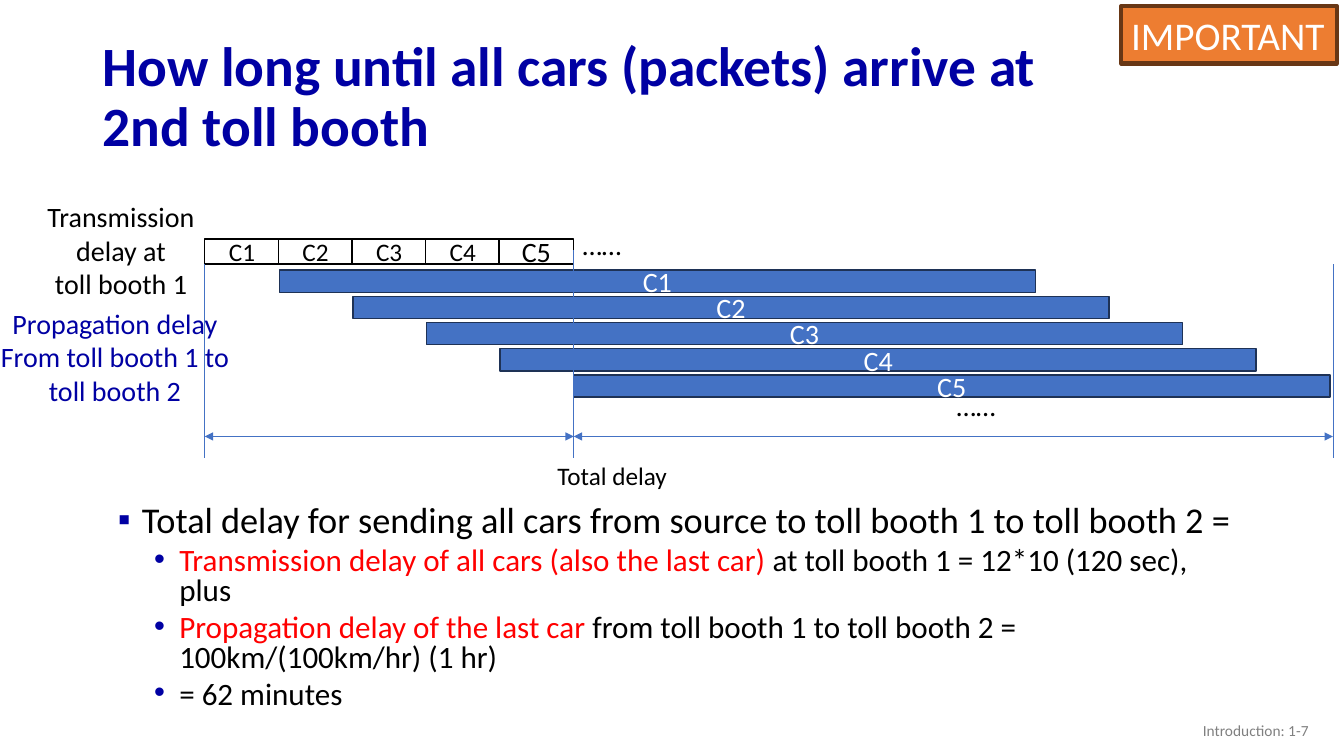
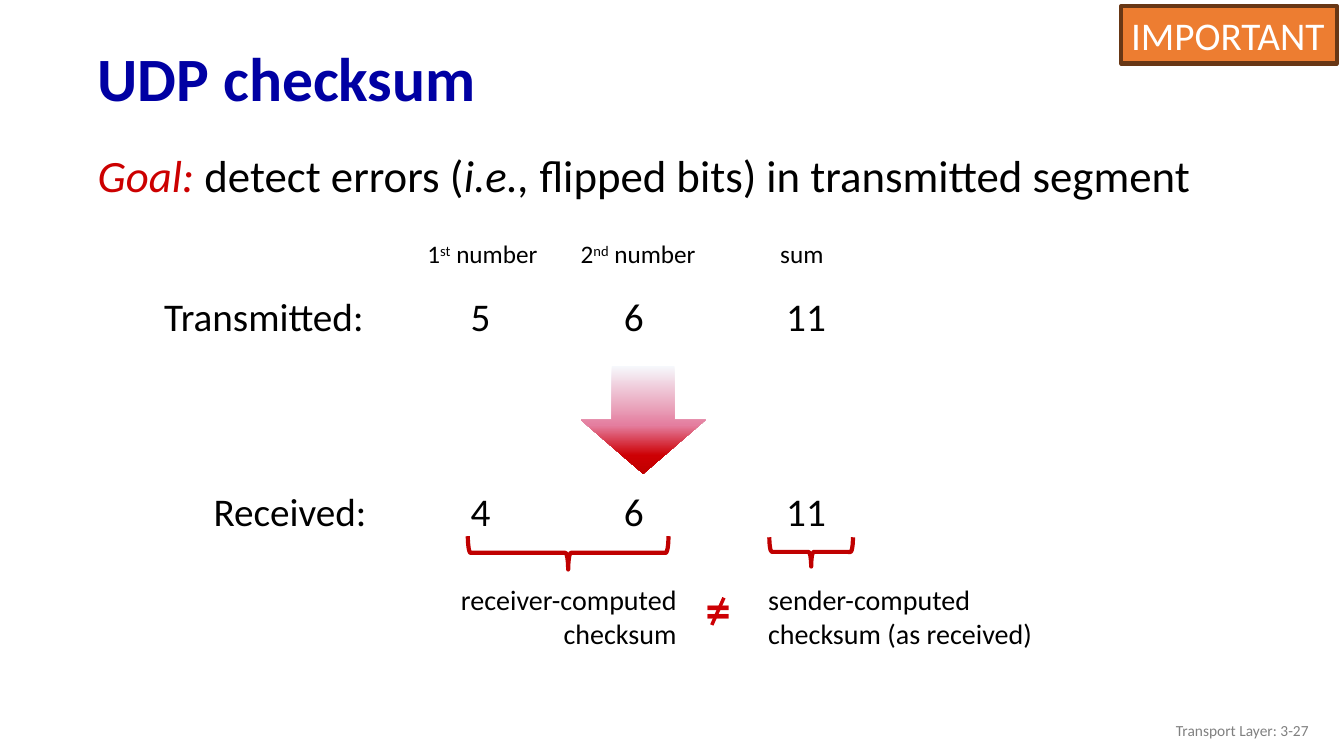
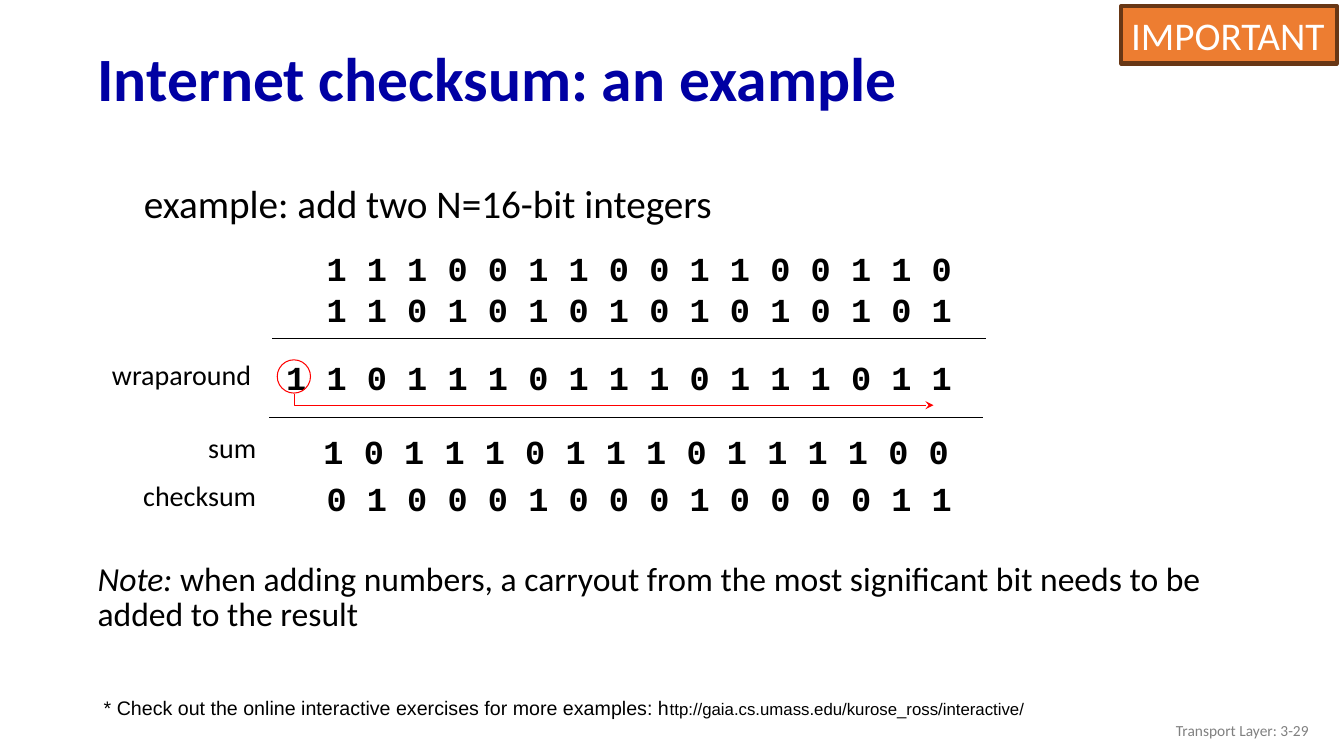
from copy import deepcopy

from lxml.etree import SubElement
from pptx import Presentation
from pptx.dml.color import RGBColor
from pptx.enum.shapes import MSO_CONNECTOR, MSO_SHAPE
from pptx.enum.text import MSO_ANCHOR, PP_ALIGN
from pptx.oxml.ns import qn
from pptx.util import Inches, Pt

COLORS = {
    "black": "000000", "white": "FFFFFF", "title": "0000A3", "gray": "808080",
    "orange": "ED7D31", "brown": "683715", "blue": "4472C4", "navy": "1E3256",
    "red": "FF0000", "crimson": "CC0000", "brace": "C00000", "unequal": "CD0004",
}
LEFT, CENTER, RIGHT = PP_ALIGN.LEFT, PP_ALIGN.CENTER, PP_ALIGN.RIGHT
TOP, MIDDLE = MSO_ANCHOR.TOP, MSO_ANCHOR.MIDDLE


def style_line(shape, color, width, head=None, tail=None):
    """Give an outline or line its colour, width and arrowheads, without shadow."""
    shape.line.color.rgb = RGBColor.from_string(COLORS[color])
    shape.line.width = Pt(width)
    properties = shape._element.spPr
    outline = properties.find(qn("a:ln"))
    for tag, arrow in (("a:headEnd", head), ("a:tailEnd", tail)):
        if arrow:
            SubElement(outline, qn(tag), type=arrow)
    if properties.find(qn("a:effectLst")) is None:
        SubElement(properties, qn("a:effectLst"))


def add_text(page, at, *paragraphs, size=20, font="Calibri", color="black", bold=False,
             align=LEFT, anchor=TOP, spacing=None, wrap=True, fill=None, line=None):
    """Add a box of text; a paragraph is a string or a list of (text, format) spans."""
    place = [Inches(length) for length in at]
    if fill:
        box = page.shapes.add_shape(MSO_SHAPE.RECTANGLE, *place)
        box.fill.solid()
        box.fill.fore_color.rgb = RGBColor.from_string(COLORS[fill])
        style_line(box, *line)
    else:
        box = page.shapes.add_textbox(*place)
    frame = box.text_frame
    frame.word_wrap = wrap
    frame.vertical_anchor = anchor
    for index, spans in enumerate(paragraphs):
        paragraph = frame.add_paragraph() if index else frame.paragraphs[0]
        paragraph.alignment = align
        paragraph.line_spacing = spacing
        for text, style in [(spans, {})] if isinstance(spans, str) else spans:
            span = paragraph.add_run()
            span.text = text
            span.font.name = font
            span.font.size = Pt(style.get("size", size))
            span.font.bold = bold
            span.font.italic = style.get("italic", False)
            span.font.color.rgb = RGBColor.from_string(COLORS[style.get("color", color)])
            if "baseline" in style:
                span._r.get_or_add_rPr().set("baseline", style["baseline"])
    return box


deck = Presentation()
deck.slide_width, deck.slide_height = Inches(13.33), Inches(7.5)

# Title, footer and badge of every slide
pages = []
for title, title_at, title_size, footer in (
    ("How long until all cars (packets) arrive at 2nd toll booth",
     (0.92, 0.49, 10.23, 0.98), 39.6, "Introduction: 1-7"),
    ("UDP checksum", (0.87, 0.32, 12.14, 0.98), 44, "Transport Layer: 3-27"),
    ("Internet checksum: an example", (0.87, 0.32, 12.14, 0.98), 44, "Transport Layer: 3-29"),
):
    page = deck.slides.add_slide(deck.slide_layouts[6])
    add_text(page, title_at, title, size=title_size, color="title", bold=True,
             anchor=MIDDLE, spacing=0.9)
    add_text(page, (10.08, 7.05, 3, 0.4), footer, size=11, color="gray",
             align=RIGHT, anchor=MIDDLE)
    add_text(page, (11.12, 0.06, 2.14, 0.57), "IMPORTANT", size=28, color="white",
             wrap=False, fill="orange", line=("brown", 3))
    pages.append(page)
delay_page, goal_page, example_page = pages

# Slide 1: timeline of the cars
START, SERVED, END = 2.03, 5.69, 13.22
CAR_STEP = 0.73
for car in range(5):
    name = f"C{car + 1}"
    left = START + CAR_STEP * car
    add_text(delay_page, (left, 2.37, 0.74, 0.25), name, size=20 if car == 4 else 18,
             align=CENTER, anchor=MIDDLE, fill="white", line=("black", 1))
    add_text(delay_page, (left + 0.74, 2.68 + 0.26 * car, 7.5, 0.22), name, color="white",
             align=CENTER, anchor=MIDDLE, fill="blue", line=("navy", 1))

add_text(delay_page, (0.29, 1.93, 1.82, 1.11), "Transmission", "delay at", "toll booth 1",
         align=CENTER)
add_text(delay_page, (-0.3, 2.99, 2.88, 1.11), "Propagation delay",
         "From toll booth 1 to toll booth 2", color="title", align=CENTER)
for left, top in ((5.68, 2.21), (9.39, 3.81)):
    add_text(delay_page, (left, top, 0.61, 0.44), "……", wrap=False)
add_text(delay_page, (5.43, 4.52, 1.3, 0.4), "Total delay", size=18, wrap=False)

for x1, y1, x2, y2, arrow in (
    (START, 2.62, START, 4.54, None),
    (SERVED, 2.48, SERVED, 4.54, None),
    (END, 2.62, END, 4.54, None),
    (START, 4.33, SERVED, 4.33, "triangle"),
    (SERVED, 4.33, END, 4.33, "triangle"),
):
    measure = delay_page.shapes.add_connector(
        MSO_CONNECTOR.STRAIGHT, Inches(x1), Inches(y1), Inches(x2), Inches(y2))
    style_line(measure, "blue", 0.5, head=arrow, tail=arrow)

sub = {"size": 22.2}
sub_red = {"size": 22.2, "color": "red"}
summary = add_text(
    delay_page, (0.92, 4.97, 11.5, 2.02),
    "Total delay for sending all cars from source to toll booth 1 to toll booth 2 =",
    [("Transmission delay of all cars (also the last car) ", sub_red),
     ("at toll booth 1 = 12*10 (120 sec), plus", sub)],
    [("Propagation delay of the last car ", sub_red),
     ("from toll booth 1 to toll booth 2 = 100km/(100km/hr) (1 hr)", sub)],
    [("= 62 minutes", sub)],
    size=25.9, spacing=0.8)
for index, paragraph in enumerate(summary.text_frame.paragraphs):
    margin, hanging, bullet = (0.76, -0.25, "•") if index else (0.39, -0.24, "▪")
    if index:
        paragraph.space_before = Pt(5)
    properties = paragraph._p.get_or_add_pPr()
    properties.set("marL", str(Inches(margin)))
    properties.set("indent", str(Inches(hanging)))
    SubElement(SubElement(properties, qn("a:buClr")), qn("a:srgbClr"), val=COLORS["title"])
    SubElement(properties, qn("a:buFont"), typeface="Arial")
    SubElement(properties, qn("a:buChar"), char=bullet)

# Slide 2: transmitted and received numbers
add_text(goal_page, (0.87, 1.5, 12.14, 0.93),
         [("Goal:", {"color": "crimson", "italic": True}), (" detect errors (", {}),
          ("i.e., ", {"italic": True}), ("flipped bits) in transmitted segment", {})],
         size=32, spacing=0.85)
raised = {"baseline": "30000"}
for left, width, heading in (
    (4.14, 1.32, [("1", {}), ("st", raised), (" number", {})]),
    (5.66, 1.38, [("2", {}), ("nd", raised), (" number", {})]),
    (7.64, 0.64, "sum"),
):
    add_text(goal_page, (left, 2.32, width, 0.4), heading, size=18, wrap=False)

NUMBER_COLUMNS = (4.67, 6.19, 7.8)
INSET = 0.1
for left, top, row in ((1.53, 2.9, "Transmitted:\t5\t6\t11"),
                       (2.02, 4.84, "Received:\t4\t6\t11")):
    numbers = add_text(goal_page, (left, top, 11, 0.63), row, size=28, spacing=0.9)
    tabs = SubElement(numbers.text_frame.paragraphs[0]._p.get_or_add_pPr(), qn("a:tabLst"))
    for column in NUMBER_COLUMNS:
        SubElement(tabs, qn("a:tab"), pos=str(Inches(column - left - INSET)), algn="l")

arrow = goal_page.shapes.add_shape(
    MSO_SHAPE.DOWN_ARROW, Inches(5.76), Inches(3.63), Inches(1.24), Inches(1.07))
arrow.shadow.inherit = False
arrow.line.fill.background()
arrow.fill.gradient()
arrow.fill.gradient_angle = 270
stop_list = arrow._element.spPr.find(qn("a:gradFill")).find(qn("a:gsLst"))
for _ in range(2):
    stop_list.append(deepcopy(stop_list[0]))
fade = ((0, "F6F8FC"), (0.55, "E47E9F"), (0.83, "CD0004"), (1, "C00000"))
for stop, (position, color) in zip(arrow.fill.gradient_stops, fade):
    stop.position = position
    stop.color.rgb = RGBColor.from_string(color)

for left, top, width, height in ((5.47, 4.49, 0.33, 1.99), (7.9, 5.06, 0.29, 0.83)):
    brace = goal_page.shapes.add_shape(
        MSO_SHAPE.RIGHT_BRACE, Inches(left), Inches(top), Inches(width), Inches(height))
    brace.rotation = 90
    brace.fill.background()
    style_line(brace, "brace", 3)
add_text(goal_page, (4.38, 5.73, 2.43, 0.77), "receiver-computed", "checksum",
         align=RIGHT, wrap=False)
add_text(goal_page, (7.52, 5.73, 2.85, 0.77), "sender-computed", "checksum (as received)",
         wrap=False)
add_text(goal_page, (6.9, 5.69, 0.45, 0.71), "=", size=36, color="unequal", bold=True,
         wrap=False)
slash = goal_page.shapes.add_connector(
    MSO_CONNECTOR.STRAIGHT, Inches(7.18), Inches(5.93), Inches(7.06), Inches(6.2))
style_line(slash, "unequal", 2.5)

# Slide 3: binary addition
add_text(example_page, (1.33, 1.59, 8.5, 0.8), "example: add two N=16-bit integers",
         size=28, spacing=1.3)
for left, top, bits in (
    (3.14, 2.41, "1 1 1 0 0 1 1 0 0 1 1 0 0 1 1 0"),
    (3.14, 2.82, "1 1 0 1 0 1 0 1 0 1 0 1 0 1 0 1"),
    (2.74, 3.49, "1 1 0 1 1 1 0 1 1 1 0 1 1 1 0 1 1"),
    (3.11, 4.23, "1 0 1 1 1 0 1 1 1 0 1 1 1 1 0 0"),
    (3.14, 4.69, "0 1 0 0 0 1 0 0 0 1 0 0 0 0 1 1"),
):
    add_text(example_page, (left, top, 9.59 - left, 0.5), bits, size=24,
             font="Courier New", bold=True, wrap=False)
for right, top, label in ((2.59, 3.5, "wraparound"), (2.64, 4.22, "sum"),
                          (2.64, 4.7, "checksum")):
    add_text(example_page, (right - 1.64, top, 1.64, 0.44), label, align=RIGHT)
for left, top in ((2.7, 3.36), (2.67, 4.14)):
    rule = example_page.shapes.add_connector(
        MSO_CONNECTOR.STRAIGHT, Inches(left), Inches(top), Inches(left + 7.08), Inches(top))
    style_line(rule, "black", 1)

carry_ring = example_page.shapes.add_shape(
    MSO_SHAPE.OVAL, Inches(2.75), Inches(3.57), Inches(0.33), Inches(0.33))
carry_ring.fill.background()
style_line(carry_ring, "red", 0.75)
builder = example_page.shapes.build_freeform(Inches(2.92), Inches(3.91))
builder.add_line_segments(
    [(Inches(2.92), Inches(4.02)), (Inches(9.26), Inches(4.02))], close=False)
carry_path = builder.convert_to_shape()
carry_path.fill.background()
style_line(carry_path, "red", 0.75, tail="stealth")

add_text(example_page, (0.87, 5.55, 11.34, 1.18),
         [("Note:", {"italic": True}),
          (" when adding numbers, a carryout from the most significant bit needs to be "
           "added to the result", {})],
         size=24, spacing=0.85)
add_text(example_page, (0.93, 6.85, 10.78, 0.34),
         [("* Check out the online interactive exercises for more examples: h", {}),
          ("ttp://gaia.cs.umass.edu/kurose_ross/interactive/", {"size": 12})],
         size=14, font="Arial")

deck.save("out.pptx")
